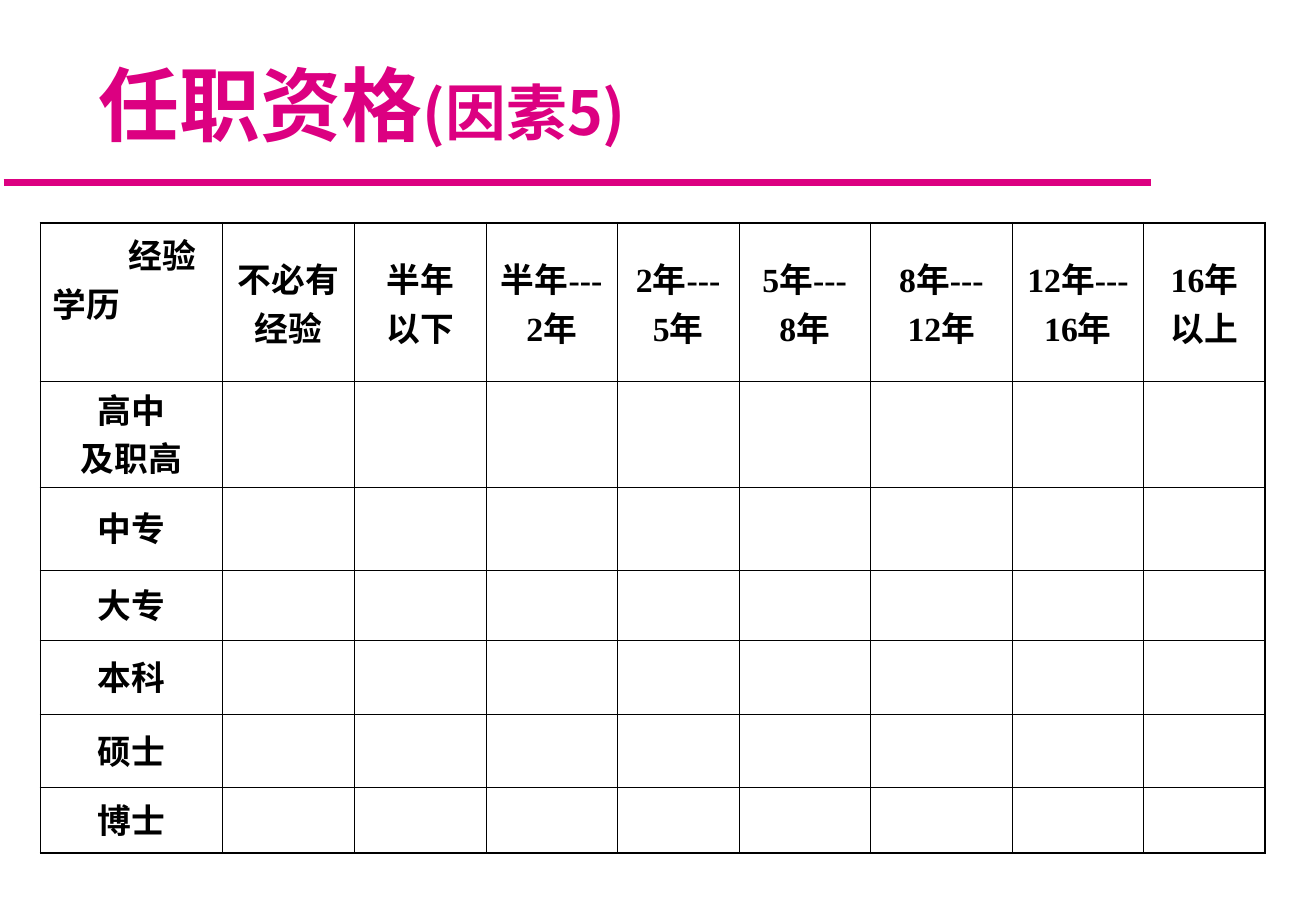
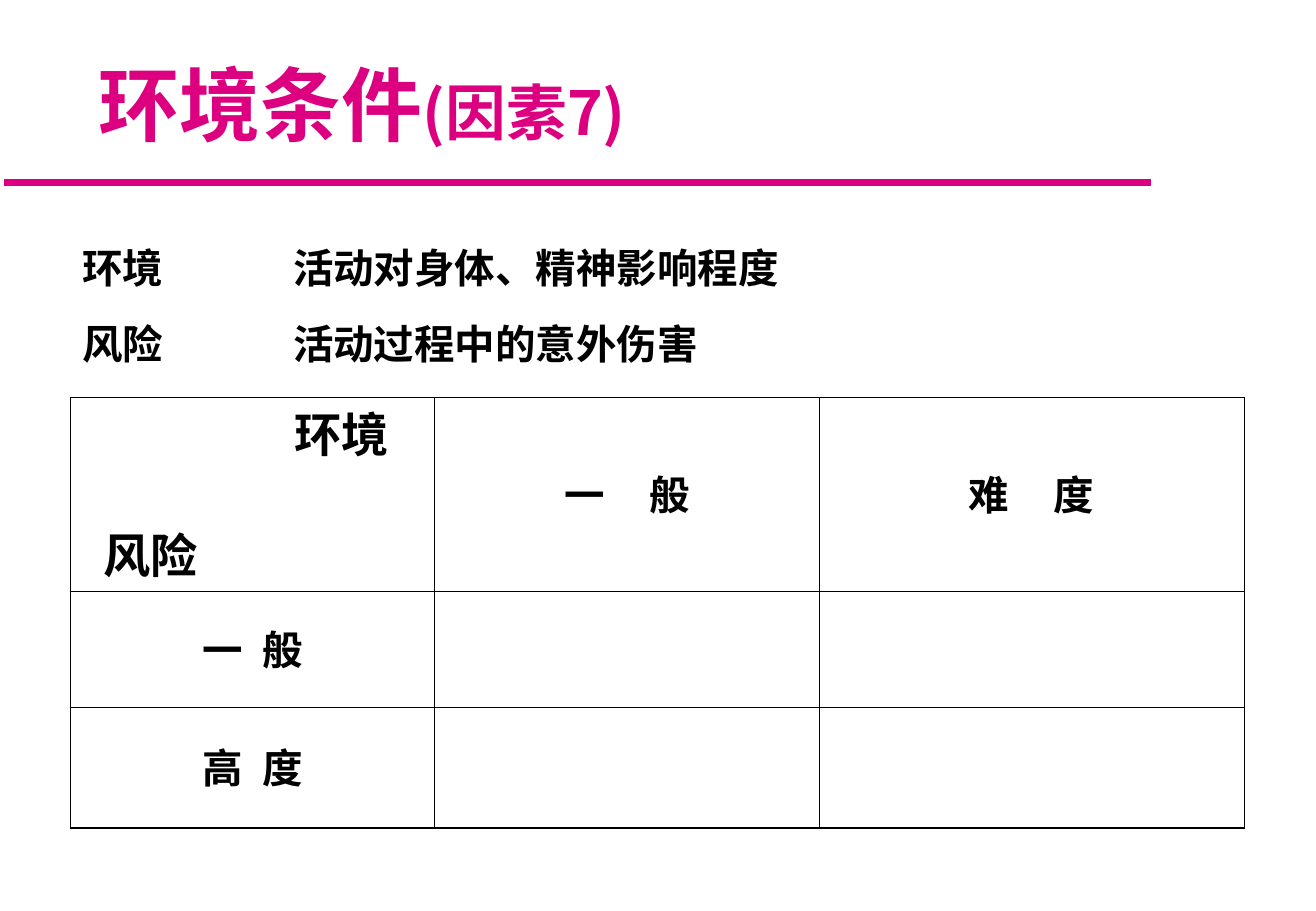
from lxml.etree import SubElement
from pptx import Presentation
from pptx.dml.color import RGBColor
from pptx.enum.shapes import MSO_CONNECTOR
from pptx.enum.text import MSO_ANCHOR, PP_ALIGN
from pptx.oxml.ns import qn
from pptx.util import Inches, Pt

COLORS = {"accent": "DC0081", "ink": "000000"}
FONTS = {"title": "Noto Sans CJK SC", "latin": "Times New Roman", "asian": "Noto Sans CJK SC"}
INNER, OUTER = 0.45, 1.08


class Deck:
    def __init__(self, width=10.84, height=7.5, cols=130, rows=90):
        self.prs = Presentation()
        self.prs.slide_width, self.prs.slide_height = Inches(width), Inches(height)
        self.col, self.row = Inches(width) / cols, Inches(height) / rows
        self.s = None

    def x(self, cols):
        return round(cols * self.col)

    def y(self, rows):
        return round(rows * self.row)

    def box(self, left, top, width, height):
        return self.x(left), self.y(top), self.x(width), self.y(height)

    def slide(self, title, factor):
        self.s = self.prs.slides.add_slide(self.prs.slide_layouts[6])
        self.rule()
        self.title(title, factor)

    def rule(self):
        line = self.s.shapes.add_connector(
            MSO_CONNECTOR.STRAIGHT, self.x(0.35), self.y(18), self.x(113.75), self.y(18))
        line.line.color.rgb = RGBColor.from_string(COLORS["accent"])
        line.line.width = Pt(4)
        SubElement(line._element.spPr, qn("a:effectLst"))

    def title(self, title, factor):
        tf = self.s.shapes.add_textbox(*self.box(8.6, 2.4, 113, 13.2)).text_frame
        tf.word_wrap = True
        tf.vertical_anchor = MSO_ANCHOR.BOTTOM
        p = tf.paragraphs[0]
        for text, size in ((title, 48), (factor, 36)):
            r = p.add_run()
            r.text = text
            self.font(r, size, "accent", FONTS["title"])

    def font(self, r, size, color="ink", latin=FONTS["latin"]):
        r.font.size = Pt(size)
        r.font.bold = True
        r.font.color.rgb = RGBColor.from_string(COLORS[color])
        r.font.name = latin
        SubElement(r.font._element, qn("a:ea"), typeface=FONTS["asian"])

    def table(self, left, top, cols, rows, open_rows=0, spans=None, joined=()):
        frame = self.s.shapes.add_table(
            len(rows), len(cols), *self.box(left, top, sum(cols), sum(rows)))
        table = frame.table
        table.first_row = table.horz_banding = False
        for column, width in zip(table.columns, cols):
            column.width = self.x(width)
        for row, height in zip(table.rows, rows):
            row.height = self.y(height)
        spans = spans or {}
        last_row, last_col = len(rows) - 1, len(cols) - 1
        for i in range(len(rows)):
            for j in range(len(cols)):
                cell = table.cell(i, j)
                end = spans.get((i, j), j)
                is_open = i < open_rows
                self.borders(cell, {
                    "L": 0 if is_open or (i, j) in joined else INNER if j else OUTER,
                    "R": 0 if is_open or (i, end + 1) in joined
                    else OUTER if end == last_col else INNER,
                    "T": 0 if is_open else INNER if i else OUTER,
                    "B": OUTER if i == last_row else INNER,
                })
                cell.fill.background()
        for (i, j), end in spans.items():
            table.cell(i, j).merge(table.cell(i, end))
        return table

    def borders(self, cell, widths):
        tc_pr = cell._tc.get_or_add_tcPr()
        for side, width in widths.items():
            ln = SubElement(tc_pr, qn("a:ln" + side), w=str(Pt(width)))
            if width:
                fill = SubElement(ln, qn("a:solidFill"))
                SubElement(fill, qn("a:srgbClr"), val=COLORS["ink"])
            else:
                SubElement(ln, qn("a:noFill"))

    def text(self, cell, text, size, spacing=None, gap=0, before=0, align=PP_ALIGN.CENTER):
        tf = cell.text_frame
        tf.text = text
        cell.vertical_anchor = MSO_ANCHOR.MIDDLE
        for p in tf.paragraphs:
            p.alignment = align
            p.line_spacing = spacing
            if gap:
                parts = p.text.partition(" ")
                p.text = parts[0]
                for part in parts[1:]:
                    p.add_run().text = part
                p.runs[1].font._element.set("spc", str(gap * 100))
            for r in p.runs:
                self.font(r, size)
        for p in tf.paragraphs[1:]:
            p.space_before = Pt(before)

    def corner(self, cell, text, size, indents, spacing=None, before=0):
        self.text(cell, text, size, spacing, before=before, align=PP_ALIGN.LEFT)
        cell.vertical_anchor = MSO_ANCHOR.TOP
        for p, indent in zip(cell.text_frame.paragraphs, indents):
            p._p.get_or_add_pPr().set("marL", str(self.x(indent)))

    def definitions(self, cell, pairs, size, tab):
        lines = "\n".join("\t".join(pair) for pair in pairs)
        self.text(cell, lines, size, 1.3, align=PP_ALIGN.LEFT)
        cell.vertical_anchor = MSO_ANCHOR.TOP
        for p in cell.text_frame.paragraphs:
            tabs = SubElement(p._p.get_or_add_pPr(), qn("a:tabLst"))
            SubElement(tabs, qn("a:tab"), pos=str(self.x(tab)), algn="l")


def qualifications(deck):
    deck.slide("任职资格", "(因素5)")
    table = deck.table(4, 22, [18, 13, 13, 13, 12, 13, 14, 13, 12],
                       [15.7, 10.4, 8.2, 7, 7.3, 7.2, 6.5])
    deck.corner(table.cell(0, 0), "经验\n学历", 20, (7.5, 0))
    experience = ["不必有\n经验", "半年\n以下", "半年---\n2年", "2年---\n5年", "5年---\n8年",
                  "8年---\n12年", "12年---\n16年", "16年\n以上"]
    for j, label in enumerate(experience, 1):
        deck.text(table.cell(0, j), label, 20)
    education = ["高中\n及职高", "中专", "大专", "本科", "硕士", "博士"]
    for i, label in enumerate(education, 1):
        deck.text(table.cell(i, 0), label, 20, 0.9, before=2.5)


def environment(deck):
    deck.slide("环境条件", "(因素7)")
    table = deck.table(6.95, 21, [36, 38, 3, 10.5, 28.5], [18.3, 19.1, 11.5, 11.9],
                       open_rows=1, spans={(0, 0): 4, (2, 2): 4, (3, 2): 4},
                       joined={(1, 3), (1, 4)})
    deck.definitions(table.cell(0, 0), [("环境", "活动对身体、精神影响程度"),
                                        ("风险", "活动过程中的意外伤害")], 24, 20.8)
    deck.corner(table.cell(1, 0), "环境\n风险", 28, (20.9, 2.1), 0.9, 35)
    deck.text(table.cell(1, 1), "一 般", 24, 0.9, gap=21)
    deck.text(table.cell(1, 4), "难 度", 24, 0.9, gap=21, align=PP_ALIGN.LEFT)
    for i, label in enumerate(["一 般", "高 度"], 2):
        deck.text(table.cell(i, 0), label, 24, 0.9, gap=6)


def main():
    deck = Deck()
    qualifications(deck)
    environment(deck)
    deck.prs.save("out.pptx")


if __name__ == "__main__":
    main()
